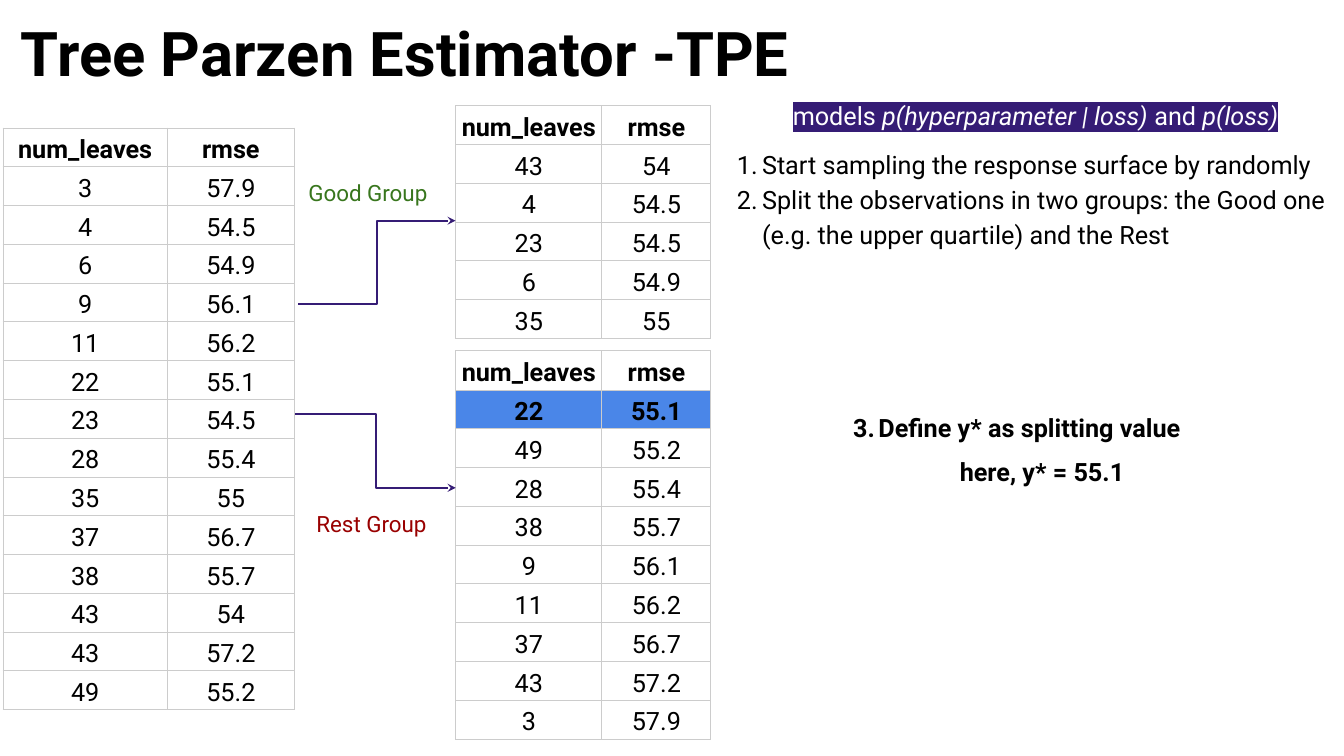
from lxml import etree
from pptx import Presentation
from pptx.dml.color import RGBColor
from pptx.enum import shapes, text
from pptx.oxml import parse_xml
from pptx.oxml.ns import nsdecls, qn
from pptx.util import Inches, Pt

BLACK, WHITE, PURPLE, GRID, BLUE = "000000", "FFFFFF", "351C75", "CCCCCC", "4A86E8"
CENTER = text.PP_ALIGN.CENTER


def add_run(p, words, size=18, color=BLACK, bold=False, italic=False, highlight=None):
    r = p.add_run()
    r.text = words
    r.font.size, r.font.bold, r.font.italic = Pt(size), bold, italic
    r.font.color.rgb = RGBColor.from_string(color)
    if highlight:
        mark = parse_xml(f'<a:highlight {nsdecls("a")}><a:srgbClr val="{highlight}"/></a:highlight>')
        r._r.rPr.find(qn("a:solidFill")).addnext(mark)
    r.font.name = "Roboto"


def add_box(left, top, width, height, inset=0.1):
    """Add a wrapping text box and return its text frame."""
    tf = s.shapes.add_textbox(Inches(left), Inches(top), Inches(width), Inches(height)).text_frame
    tf.word_wrap = True
    tf.margin_top = tf.margin_bottom = Inches(inset)
    return tf


prs = Presentation()
prs.slide_width, prs.slide_height = Inches(13.33), Inches(7.5)
s = prs.slides.add_slide(prs.slide_layouts[6])

# Title
tf = add_box(0.11, 0.1, 7.97, 0.92, 0.05)
tf.vertical_anchor = text.MSO_ANCHOR.MIDDLE
tf.paragraphs[0].line_spacing = 0.9
add_run(tf.paragraphs[0], "Tree Parzen Estimator -TPE", 44, bold=True)

# Observations, then the good and the rest group: place, column widths, row heights, rows
samples = [("3", "57.9"), ("4", "54.5"), ("6", "54.9"), ("9", "56.1"), ("11", "56.2"),
           ("22", "55.1"), ("23", "54.5"), ("28", "55.4"), ("35", "55"), ("37", "56.7"),
           ("38", "55.7"), ("43", "54"), ("43", "57.2"), ("49", "55.2")]
ranked = sorted(samples, key=lambda row: float(row[1]))
good = [("43", "54"), ("4", "54.5"), ("23", "54.5"), ("6", "54.9"), ("35", "55")]
rest = [row for row in ranked if row not in good]
split_row = rest[0]
tables = [
    (0.03, 1.27, (1.63, 1.26), 0.37, samples),
    (4.52, 1.05, (1.45, 1.08), 0.37, good),
    (4.52, 3.48, (1.45, 1.08), 0.39, rest),
]
for left, top, widths, header_height, rows in tables:
    rows = [("num_leaves", "rmse")] + rows
    table = s.shapes.add_table(len(rows), 2, Inches(left), Inches(top), Inches(sum(widths)),
                               Inches(header_height + 0.37 * (len(rows) - 1))).table
    table.first_row = table.horz_banding = False
    for column, width in zip(table.columns, widths):
        column.width = Inches(width)
    for i, row in enumerate(rows):
        table.rows[i].height = Inches(0.37 if i else header_height)
        is_split = rows[1] == split_row and i == 1
        for j, value in enumerate(row):
            cell = table.cell(i, j)
            cell.margin_left = cell.margin_right = Inches(0.03)
            cell.margin_top = cell.margin_bottom = Inches(0.02)
            cell.vertical_anchor = text.MSO_ANCHOR.BOTTOM
            for side in ("lnL", "lnR", "lnT", "lnB"):
                cell._tc.tcPr.append(parse_xml(
                    f'<a:{side} {nsdecls("a")} w="{Pt(0.75)}"><a:solidFill>'
                    f'<a:srgbClr val="{GRID}"/></a:solidFill></a:{side}>'))
            if is_split:
                cell.fill.solid()
                cell.fill.fore_color.rgb = RGBColor.from_string(BLUE)
            else:
                cell.fill.background()
            p = cell.text_frame.paragraphs[0]
            p.alignment, p.line_spacing = CENTER, 1.15
            add_run(p, value, bold=i == 0 or is_split)

# Group labels
for words, left, top, width, color in [("Good Group", 2.96, 1.68, 1.49, "38761D"),
                                       ("Rest Group", 3.04, 4.96, 1.4, "990000")]:
    add_run(add_box(left, top, width, 0.4).paragraphs[0], words, 16, color)

# Arrows from the observations to each group
for x1, y1, x2, y2 in [(2.96, 3.02, 4.52, 2.19), (2.93, 4.11, 4.52, 4.84)]:
    arrow = s.shapes.add_connector(shapes.MSO_CONNECTOR.ELBOW, Inches(x1), Inches(y1),
                                   Inches(x2), Inches(y2))
    arrow.line.color.rgb = RGBColor.from_string(PURPLE)
    arrow.line.width = Pt(1.5)
    etree.SubElement(arrow.line._get_or_add_ln(), qn("a:tailEnd"), type="stealth")
    etree.SubElement(arrow._element.spPr, qn("a:effectLst"))

# Model statement and the first two steps
tf = add_box(7.21, 0.93, 6.12, 1.8)
p = tf.paragraphs[0]
p.alignment, p.line_spacing = CENTER, 0.9
for words, italic in [("models ", False), ("p(hyperparameter | loss)", True),
                      (" and ", False), ("p(loss)", True)]:
    add_run(p, words, color=WHITE, italic=italic, highlight=PURPLE)
steps = [
    (tf.add_paragraph(), 1, "Start sampling the response surface by randomly"),
    (tf.add_paragraph(), 2, "Split the observations in two groups: the Good one "
                            "(e.g. the upper quartile) and the Rest"),
]
for p, number, words in steps:
    p.line_spacing = 1.15
steps[0][0].space_before = Pt(10)

# Third step, with its value below
tf = add_box(7.21, 3.99, 6.12, 1)
p = tf.paragraphs[0]
p.alignment = CENTER
p._p.get_or_add_pPr().set("marR", str(Inches(0.37)))
steps.append((p, 3, "Define y* as splitting value"))

for p, number, words in steps:
    pPr = p._p.get_or_add_pPr()
    pPr.set("marL", str(Inches(0.25)))
    pPr.set("indent", str(-Inches(0.25)))
    etree.SubElement(pPr, qn("a:buAutoNum"), type="arabicPeriod", startAt=str(number))
    add_run(p, words, bold=number == 3)

p = tf.add_paragraph()
p.alignment, p.space_before = CENTER, Pt(10)
p._p.get_or_add_pPr().set("marL", str(Inches(0.5)))
add_run(p, "here, y* = 55.1", bold=True)

prs.save("out.pptx")
